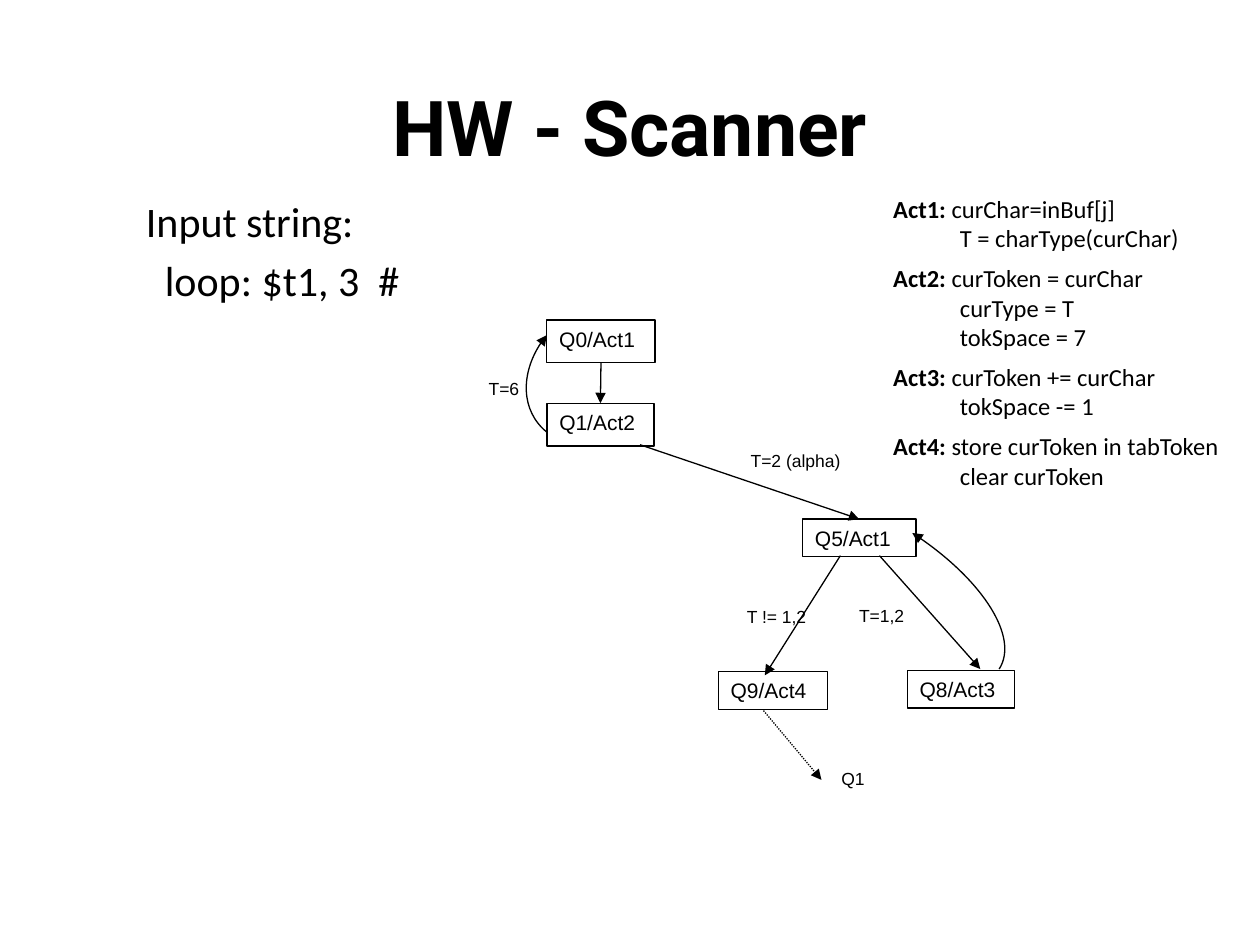
import dataclasses

import lxml.etree
import pptx
import pptx.dml.color
import pptx.enum.dml
import pptx.enum.shapes
import pptx.enum.text
import pptx.oxml.ns
import pptx.util

qn = pptx.oxml.ns.qn
WIDE, HIGH = pptx.util.Inches(10), pptx.util.Inches(7.5)
CELL = WIDE // 100  # grid of 100 columns by 75 rows


@dataclasses.dataclass(frozen=True)
class Theme:
    ink: str = "000000"
    paper: str = "FFFFFF"
    head: tuple = ("Roboto", 44)
    body: tuple = ("Calibri", 24)
    acts: tuple = ("Calibri", 14)
    state: tuple = ("Arial", 12)
    label: tuple = ("Arial", 10)
    line: float = 0.75


THEME = Theme()

# State boxes: column, row, columns wide, rows high
STATES = {
    "Q0/Act1": (43.4, 25.4, 8.6, 3.4),
    "Q1/Act2": (43.4, 32, 8.5, 3.4),
    "Q5/Act1": (63.7, 41.2, 9, 3),
    "Q9/Act4": (57, 53.3, 8.7, 3),
    "Q8/Act3": (72, 53.2, 8.5, 3),
}

LABELS = {
    "T=6": (37.8, 29.5, 5, 2.5),
    "T=2 (alpha)": (58.6, 35.2, 9.3, 3),
    "T != 1,2": (58.3, 47.6, 8, 3),
    "T=1,2": (67.2, 47.5, 8, 3),
    "Q1": (65.8, 60.5, 4, 3),
}

# Bezier points: start, two handles, end
LOOPS = [
    [(43.4, 34.3), (41.3, 32.6), (41.3, 29.1), (43.4, 26.6)],
    [(79.3, 53.1), (80.9, 50.6), (77.8, 45.8), (72.4, 42.3)],
]

ACTS = [
    ("Act1: ", ["curChar=inBuf[j]", "T = charType(curChar)"]),
    ("Act2: ", ["curToken = curChar", "curType = T", "tokSpace = 7"]),
    ("Act3: ", ["curToken += curChar", "tokSpace -= 1"]),
    ("Act4: ", ["store curToken in tabToken", "clear curToken"]),
]


def grid(*cells):
    return [round(n * CELL) for n in cells]


def color(code):
    return pptx.dml.color.RGBColor.from_string(code)


def style(para, font, bold=False):
    para.font.name, size = font
    para.font.size = pptx.util.Pt(size)
    para.font.bold = bold
    para.font.color.rgb = color(THEME.ink)


def indent(para, cells):
    props = para._p.get_or_add_pPr()
    props.set("marL", str(grid(cells)[0]))
    props.set("indent", "0")


def stroke(line):
    line.color.rgb = color(THEME.ink)
    line.width = pptx.util.Pt(THEME.line)


def arrow(shape):
    line = shape._element.spPr.find(qn("a:ln"))
    lxml.etree.SubElement(line, qn("a:tailEnd"), type="triangle")


def add_text(slide, area, text, font, bold=False):
    frame = slide.shapes.add_textbox(*grid(*area)).text_frame
    frame.word_wrap = True
    para = frame.paragraphs[0]
    para.text = text
    style(para, font, bold)
    return frame


def add_state(slide, name, area):
    box = slide.shapes.add_shape(
        pptx.enum.shapes.MSO_SHAPE.RECTANGLE, *grid(*area))
    box.shadow.inherit = False
    box.fill.solid()
    box.fill.fore_color.rgb = color(THEME.paper)
    stroke(box.line)
    frame = box.text_frame
    frame.vertical_anchor = pptx.enum.text.MSO_ANCHOR.TOP
    para = frame.paragraphs[0]
    para.text = name
    para.alignment = pptx.enum.text.PP_ALIGN.LEFT
    style(para, THEME.state)
    return box


def add_edge(slide, start, end, dash=None):
    edge = slide.shapes.add_connector(
        pptx.enum.shapes.MSO_CONNECTOR.STRAIGHT, *grid(*start, *end))
    stroke(edge.line)
    if dash:
        edge.line.dash_style = dash
    arrow(edge)
    lxml.etree.SubElement(edge._element.spPr, qn("a:effectLst"))
    return edge


def add_loop(slide, points):
    first, *rest = [grid(*point) for point in points]
    pen = slide.shapes.build_freeform(*first)
    pen.add_line_segments(rest, close=False)
    loop = pen.convert_to_shape()
    # Turn the three segments into one Bezier curve
    steps = list(loop._element.iter(qn("a:lnTo")))
    curve = lxml.etree.SubElement(steps[0].getparent(), qn("a:cubicBezTo"))
    for step in steps:
        curve.append(step[0])
        step.getparent().remove(step)
    loop.shadow.inherit = False
    loop.fill.background()
    stroke(loop.line)
    arrow(loop)


def add_acts(slide, area):
    frame = add_text(slide, area, "", THEME.acts)
    para = frame.paragraphs[0]
    for name, steps in ACTS:
        for i, step in enumerate(steps):
            if para is None:
                para = frame.add_paragraph()
            if i == 0:
                para.add_run().text = name
                para.runs[0].font.bold = True
            else:
                indent(para, 5.3)
            para.add_run().text = step
            if i == len(steps) - 1:
                para.space_after = pptx.util.Pt(6)
            style(para, THEME.acts)
            para = None


def main():
    deck = pptx.Presentation()
    deck.slide_width, deck.slide_height = WIDE, HIGH
    slide = deck.slides.add_slide(deck.slide_layouts[6])

    # Title
    head = add_text(slide, (5, 5.6, 90, 8.8), "HW - Scanner", THEME.head, True)
    head.vertical_anchor = pptx.enum.text.MSO_ANCHOR.MIDDLE
    head.paragraphs[0].alignment = pptx.enum.text.PP_ALIGN.CENTER

    # Input string
    body = add_text(slide, (10, 15, 27.2, 12.2), "Input string:", THEME.body)
    indent(body.paragraphs[0], 0.6)
    code = body.add_paragraph()
    code.text = "loop: $t1, 3  #"
    indent(code, 2.1)
    code.space_before = pptx.util.Pt(4.8)
    style(code, THEME.body)

    # Actions
    add_acts(slide, (69.9, 14.9, 28.5, 27.1))

    # States and their labels
    boxes = {name: add_state(slide, name, area)
             for name, area in STATES.items()}
    for text, area in LABELS.items():
        add_text(slide, area, text, THEME.label)

    # Transitions
    down = add_edge(slide, (47.7, 28.8), (47.7, 32))
    down.begin_connect(boxes["Q0/Act1"], 2)
    down.end_connect(boxes["Q1/Act2"], 0)
    alpha = add_edge(slide, (50.8, 35.3), (68.2, 41.2))
    alpha.end_connect(boxes["Q5/Act1"], 0)
    add_edge(slide, (66.7, 44.1), (60.7, 53.6))
    add_edge(slide, (69.8, 44.1), (77.8, 53.1))
    add_edge(slide, (60.6, 56.4), (65.2, 61.9),
             pptx.enum.dml.MSO_LINE.ROUND_DOT)
    for points in LOOPS:
        add_loop(slide, points)

    deck.save("out.pptx")


if __name__ == "__main__":
    main()
